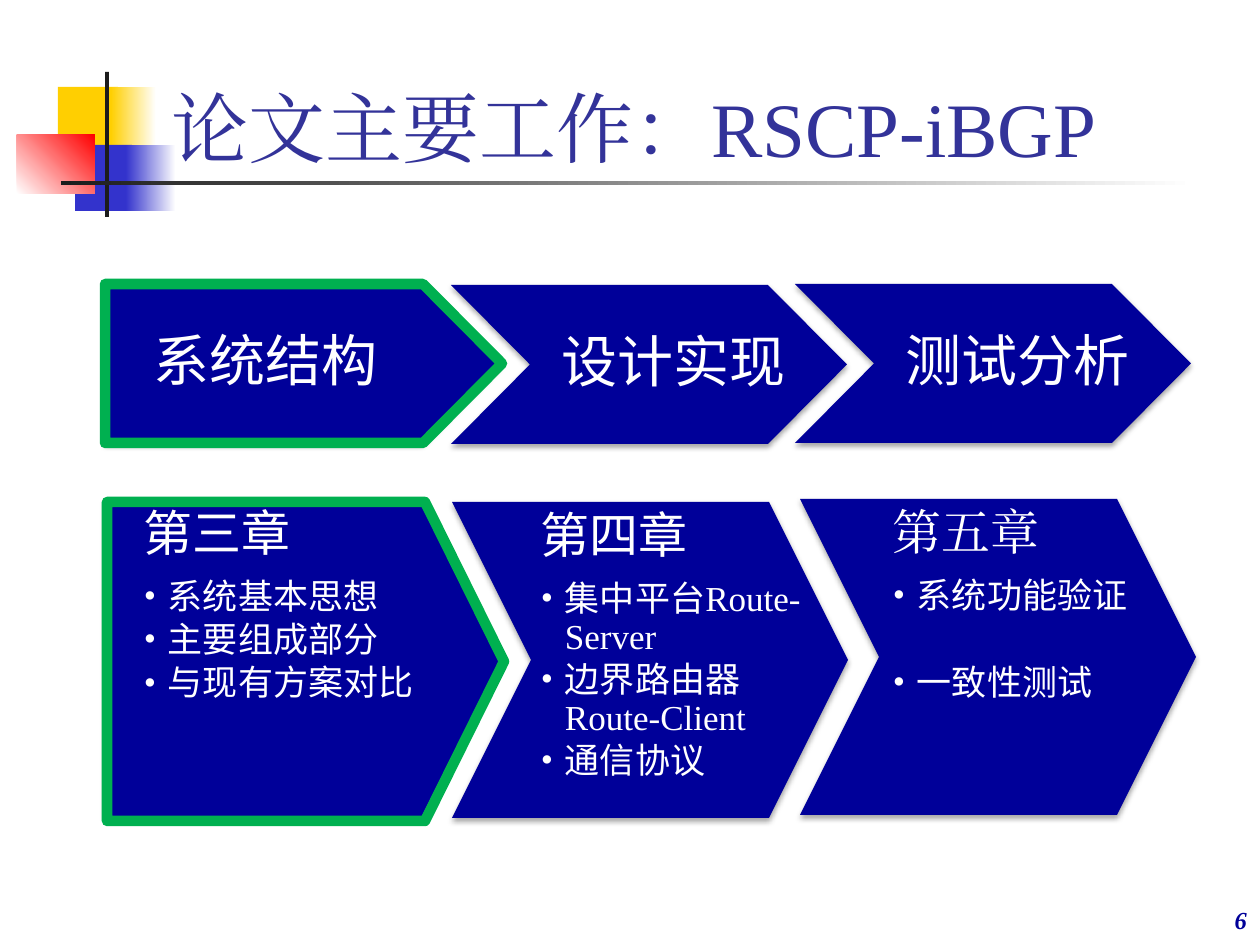
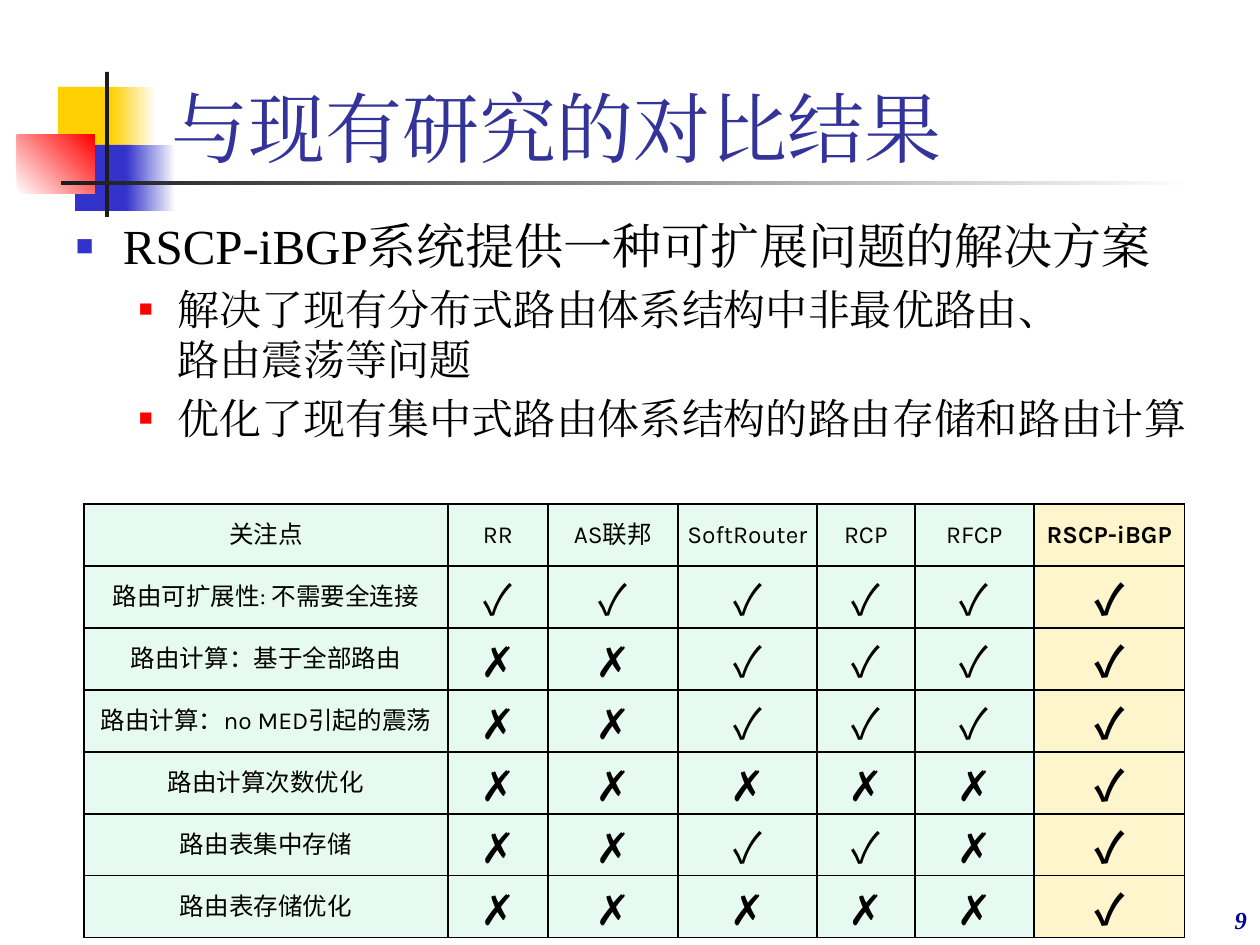
"""Builds two thesis slides: the chapter roadmap and the comparison with existing work."""
import lxml.etree
import pptx
import pptx.dml.color
import pptx.enum.lang
import pptx.enum.shapes
import pptx.enum.text
import pptx.oxml.ns
import pptx.util

Pt = pptx.util.Pt
RGBColor = pptx.dml.color.RGBColor
Shape = pptx.enum.shapes.MSO_SHAPE
Align = pptx.enum.text.PP_ALIGN
Anchor = pptx.enum.text.MSO_ANCHOR
CHINESE = pptx.enum.lang.MSO_LANGUAGE_ID.SIMPLIFIED_CHINESE

PX = 914400 // 126
SERIF, SANS, CJK = "Times New Roman", "Karla", "Noto Sans CJK SC"
WHITE = RGBColor(0xFF, 0xFF, 0xFF)
BLACK = RGBColor(0, 0, 0)
YELLOW = RGBColor(0xFF, 0xCF, 0x01)
BLUE = RGBColor(0x33, 0x33, 0xCC)
RED = RGBColor(0xFF, 0, 0)
INK = RGBColor(0x1C, 0x1C, 0x1C)
TITLE_BLUE = RGBColor(0x33, 0x33, 0x99)
NAVY = RGBColor(0, 0, 0x99)
GREEN = RGBColor(0, 0xB0, 0x50)
MINT = RGBColor(0xE7, 0xFA, 0xF1)
CREAM = RGBColor(0xFF, 0xF5, 0xCC)

DECORATION = [
    ((58, 87, 60, 66), YELLOW, None, 0),
    ((111, 87, 45, 66), YELLOW, WHITE, 0),
    ((75, 145, 57, 66), BLUE, None, 0),
    ((126, 145, 50, 66), BLUE, WHITE, 0),
    ((17, 135, 78, 59), WHITE, RED, 45),
    ((105, 72, 4, 145), INK, None, 0),
    ((61, 181, 1134, 4), INK, WHITE, 0),
]

ROADMAP_TITLE = "论文主要工作：RSCP-iBGP"
STAGES = [
    ("系统结构", (105, 284), (105, 306), 20),
    ("设计实现", (451, 285), (530, 277), 15),
    ("测试分析", (795, 284), (874, 277), 15),
]
CHAPTERS = [
    {"name": "第三章", "font": SANS, "at": (105, 500), "text": (130, 380), "right": 55, "gap": 0,
     "items": [["系统基本思想"], ["主要组成部分"], ["与现有方案对比"]]},
    {"name": "第四章", "font": SANS, "at": (452, 502), "text": (527, 307), "right": 14, "gap": 0,
     "items": [["集中平台", "Route-Server"], ["边界路由器", "Route-Client"], ["通信协议"]]},
    {"name": "第五章", "font": SERIF, "at": (800, 499), "text": (879, 295), "right": 14, "gap": 25,
     "items": [["系统功能验证"], ["一致性测试"]]},
]
ARROW_WIDTH, STAGE_HEIGHT, CHAPTER_HEIGHT, ARROW_TIP = 396, 159, 316, 79
HIGHLIGHTS = [(105, 284, 397, 159), (107, 502, 397, 319)]

COMPARISON_TITLE = "与现有研究的对比结果"
POINTS = [
    (0, "RSCP-iBGP系统提供一种可扩展问题的解决方案"),
    (1, "解决了现有分布式路由体系结构中非最优路由、\n路由震荡等问题"),
    (1, "优化了现有集中式路由体系结构的路由存储和路由计算"),
]
POINT_STYLES = [
    {"size": 28, "font": SERIF, "margin": 47, "hang": 47, "color": BLUE, "percent": 60},
    {"size": 24, "font": CJK, "margin": 102, "hang": 39, "color": RED, "percent": 55},
]
TABLE_HEAD = ["关注点", "RR", "AS联邦", "SoftRouter", "RCP", "RFCP", "RSCP-iBGP"]
TABLE_ROWS = [
    ("路由可扩展性: 不需要全连接", "✓✓✓✓✓✓"),
    ("路由计算：基于全部路由", "✗✗✓✓✓✓"),
    ("路由计算：no MED引起的震荡", "✗✗✓✓✓✓"),
    ("路由计算次数优化", "✗✗✗✗✗✓"),
    ("路由表集中存储", "✗✗✓✓✗✓"),
    ("路由表存储优化", "✗✗✗✗✗✓"),
]
COLUMN_WIDTHS = [364, 100, 130, 139, 98, 119, 151]
ROW_HEIGHT = 62


def scaled(*lengths):
    return [length * PX for length in lengths]


def add_xml(parent, tag, **attributes):
    child = lxml.etree.SubElement(parent, pptx.oxml.ns.qn("a:" + tag))
    for key, value in attributes.items():
        child.set(key, str(value))
    return child


def style(para, size, name, color, bold=False, italic=False, asian=None):
    font = para.font
    font.size, font.name, font.bold, font.italic = Pt(size), name, bold, italic
    font.color.rgb = color
    font.language_id = CHINESE
    latin = font._element.find(pptx.oxml.ns.qn("a:latin"))
    asian_font = add_xml(font._element, "ea", typeface=asian or name)
    latin.addnext(asian_font)


def set_bullet(para, symbol, margin, hang, color=None, percent=None):
    properties = para._p.get_or_add_pPr()
    properties.set("marL", str(margin * PX))
    properties.set("indent", str(-hang * PX))
    if color is not None:
        add_xml(add_xml(properties, "buClr"), "srgbClr", val=color)
    if percent:
        add_xml(properties, "buSzPct", val=percent * 1000)
    add_xml(properties, "buFont", typeface=SERIF)
    add_xml(properties, "buChar", char=symbol)


def set_frame(box, anchor, insets):
    frame = box.text_frame
    frame.word_wrap = True
    frame.auto_size = pptx.enum.text.MSO_AUTO_SIZE.NONE
    frame.vertical_anchor = anchor
    frame.margin_left, frame.margin_top, frame.margin_right, frame.margin_bottom = scaled(*insets)
    return frame


def add_text_box(page, place, anchor, insets):
    return set_frame(page.shapes.add_textbox(*scaled(*place)), anchor, insets)


def place_placeholder(box, place, anchor):
    box.left, box.top, box.width, box.height = scaled(*place)
    return set_frame(box, anchor, (13, 6, 13, 6))


def add_plain_shape(page, kind, place):
    shape = page.shapes.add_shape(kind, *scaled(*place))
    shape.shadow.inherit = False
    shape.line.fill.background()
    return shape


def start_page(deck, layout, title, title_width, number):
    page = deck.slides.add_slide(deck.slide_layouts[layout])
    for place, color, end_color, angle in DECORATION:
        block = add_plain_shape(page, Shape.RECTANGLE, place)
        if end_color is None:
            block.fill.solid()
            block.fill.fore_color.rgb = color
        else:
            block.fill.gradient()
            block.fill.gradient_angle = angle
            for stop, stop_color in zip(block.fill.gradient_stops, (color, end_color)):
                stop.color.rgb = stop_color
    para = place_placeholder(page.shapes.title, (159, 21, title_width, 158), Anchor.BOTTOM).paragraphs[0]
    para.text = title
    para.alignment = Align.LEFT
    style(para, 44, SERIF, TITLE_BLUE)
    para = add_text_box(page, (998, 877, 262, 63), Anchor.BOTTOM, (13, 6, 13, 6)).paragraphs[0]
    para.text = str(number)
    para.alignment = Align.RIGHT
    style(para, 14, SERIF, NAVY, bold=True, italic=True)
    return page


def add_arrow(page, column, corner, height):
    kind = Shape.CHEVRON if column else Shape.PENTAGON
    arrow = add_plain_shape(page, kind, (*corner, ARROW_WIDTH, height))
    arrow.adjustments[0] = ARROW_TIP / height
    arrow.fill.solid()
    arrow.fill.fore_color.rgb = NAVY
    effects = arrow._element.spPr.find(pptx.oxml.ns.qn("a:effectLst"))
    shadow = add_xml(effects, "outerShdw", blurRad=Pt(3.1), dist=Pt(1.8), dir=5400000, rotWithShape=0)
    add_xml(add_xml(shadow, "srgbClr", val=BLACK), "alpha", val=35000)


def add_stage(page, column, name, corner, span_x, inset):
    add_arrow(page, column, corner, STAGE_HEIGHT)
    left, width = span_x
    place = (left, corner[1], width, STAGE_HEIGHT)
    para = add_text_box(page, place, Anchor.MIDDLE, (inset, 10, 5, 10)).paragraphs[0]
    para.text = name
    para.alignment = Align.CENTER
    para.line_spacing = 0.9
    style(para, 32, SANS, WHITE)


def add_chapter(page, column, chapter):
    add_arrow(page, column, chapter["at"], CHAPTER_HEIGHT)
    left, width = chapter["text"]
    place = (left, chapter["at"][1], width, CHAPTER_HEIGHT)
    frame = add_text_box(page, place, Anchor.TOP, (14, 9, chapter["right"], 9))
    heading = frame.paragraphs[0]
    heading.text = chapter["name"]
    heading.line_spacing = 0.9
    heading.space_after = Pt(10)
    style(heading, 28, chapter["font"], WHITE)
    for index, item in enumerate(chapter["items"]):
        para = frame.add_paragraph()
        para.level = 1
        set_bullet(para, "•", 24, 24)
        para.line_spacing = 0.9
        para.space_before = Pt(chapter["gap"] if index else 0)
        para.space_after = Pt(3)
        style(para, 20, SANS, WHITE)
        for text in item:
            span = para.add_run()
            span.text = text
            if text.isascii():
                span.font.name = SERIF


def build_roadmap(deck):
    page = start_page(deck, 5, ROADMAP_TITLE, 1123, 6)
    for column, stage in enumerate(STAGES):
        add_stage(page, column, *stage)
    for column, chapter in enumerate(CHAPTERS):
        add_chapter(page, column, chapter)
    for place in HIGHLIGHTS:
        outline = add_plain_shape(page, Shape.PENTAGON, place)
        outline.adjustments[0] = ARROW_TIP / place[3]
        outline.fill.background()
        outline.line.color.rgb = GREEN
        outline.line.width = Pt(6)


def fill_cell(cell, text, is_mark, is_ours):
    cell.margin_left = cell.margin_right = cell.margin_top = PX
    cell.margin_bottom = 0
    cell.vertical_anchor = Anchor.MIDDLE
    para = cell.text_frame.paragraphs[0]
    para.text = text
    para.alignment = Align.CENTER
    style(para, 24 if is_mark else 14, CJK if is_mark else SANS, BLACK, bold=is_ours)
    properties = cell._tc.get_or_add_tcPr()
    for side in ("lnL", "lnR", "lnT", "lnB"):
        border = add_xml(properties, side, w=Pt(1))
        add_xml(add_xml(border, "solidFill"), "srgbClr", val=BLACK)
    cell.fill.solid()
    cell.fill.fore_color.rgb = CREAM if is_ours else MINT


def add_comparison_table(page):
    rows = [TABLE_HEAD] + [[topic, *marks] for topic, marks in TABLE_ROWS]
    place = (84, 504, sum(COLUMN_WIDTHS), ROW_HEIGHT * len(rows))
    table = page.shapes.add_table(len(rows), len(TABLE_HEAD), *scaled(*place)).table
    table.first_row = table.horz_banding = False
    for column, width in zip(table.columns, COLUMN_WIDTHS):
        column.width = width * PX
    for row, texts in enumerate(rows):
        for column, text in enumerate(texts):
            is_ours = column == len(TABLE_HEAD) - 1
            fill_cell(table.cell(row, column), text, row > 0 and column > 0, is_ours)


def build_comparison(deck):
    page = start_page(deck, 1, COMPARISON_TITLE, 1074, 9)
    frame = place_placeholder(page.placeholders[1], (63, 210, 1169, 730), Anchor.TOP)
    for index, (level, text) in enumerate(POINTS):
        para = frame.add_paragraph() if index else frame.paragraphs[0]
        look = POINT_STYLES[level]
        para.text = text
        para.level = level
        set_bullet(para, "■", look["margin"], look["hang"], look["color"], look["percent"])
        para.space_before = Pt(look["size"] * 0.2)
        style(para, look["size"], look["font"], BLACK, asian=SERIF)
    add_comparison_table(page)


def main():
    deck = pptx.Presentation()
    deck.slide_width, deck.slide_height = scaled(1260, 945)
    build_roadmap(deck)
    build_comparison(deck)
    deck.save("out.pptx")


if __name__ == "__main__":
    main()
